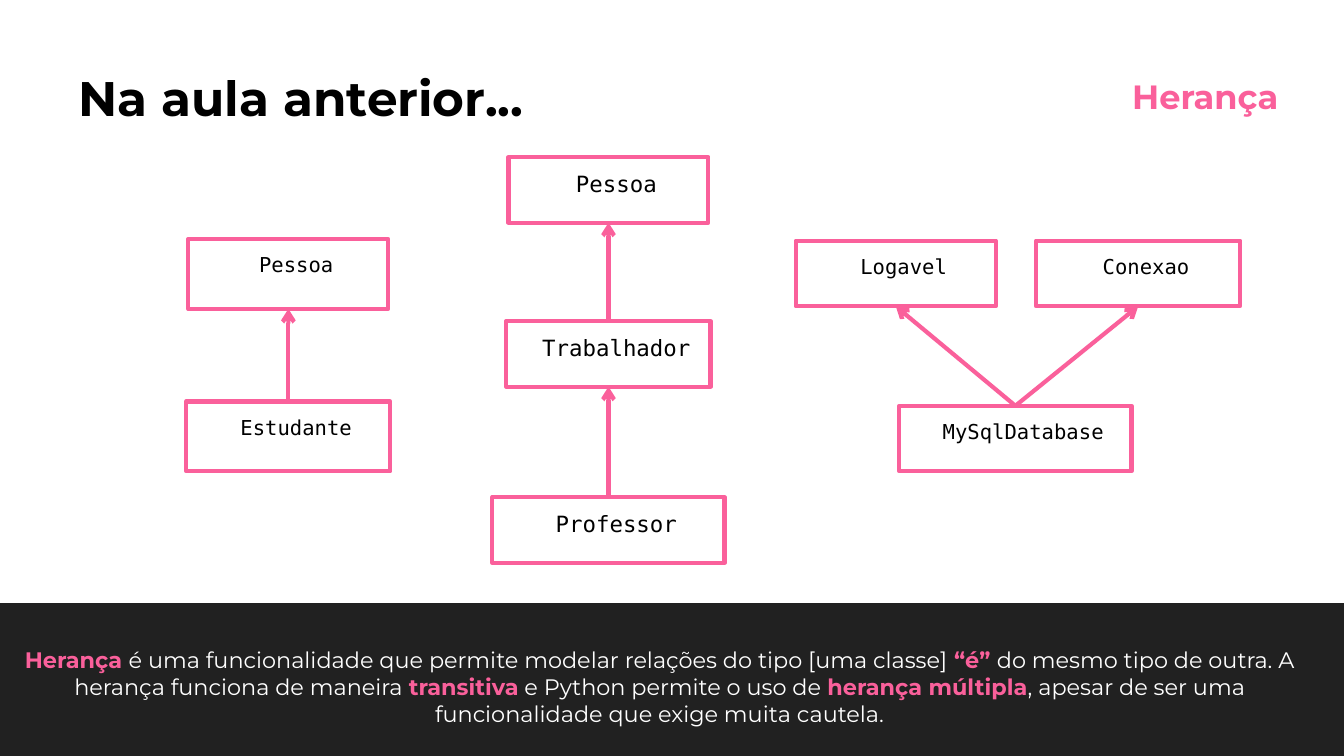
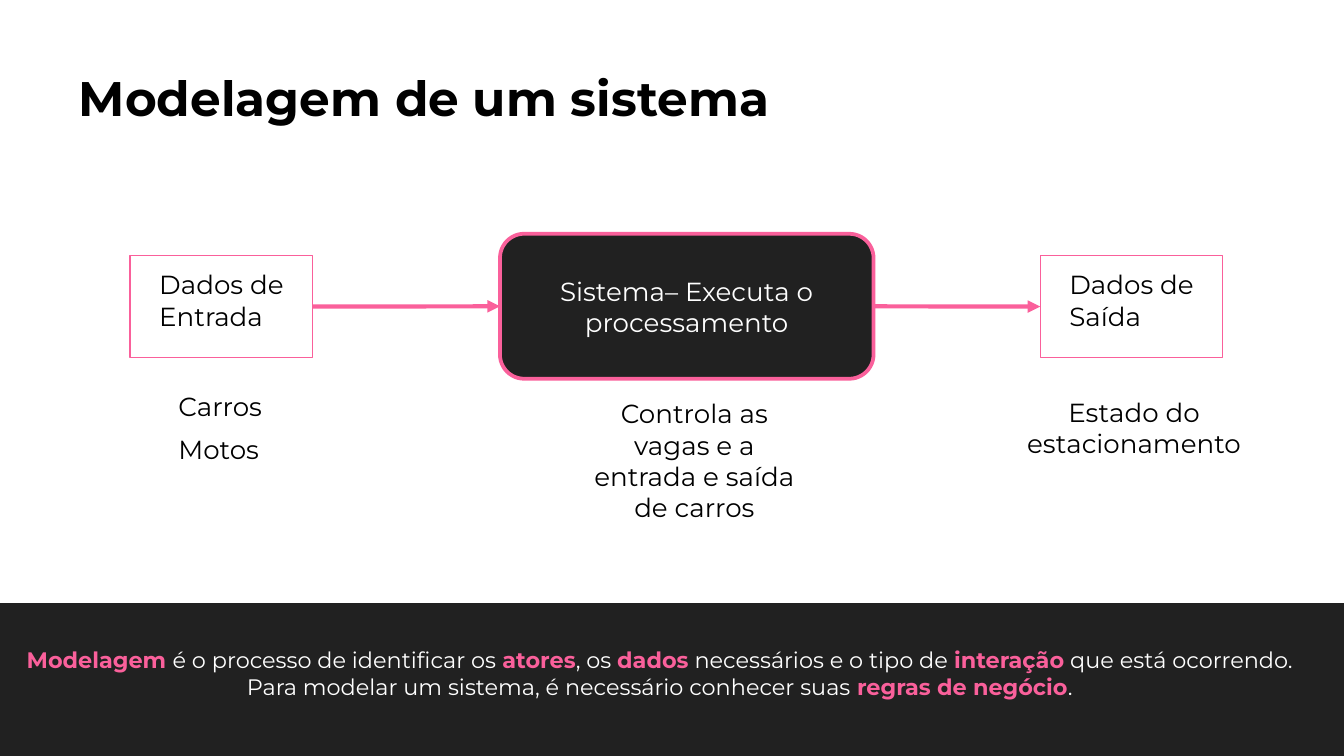
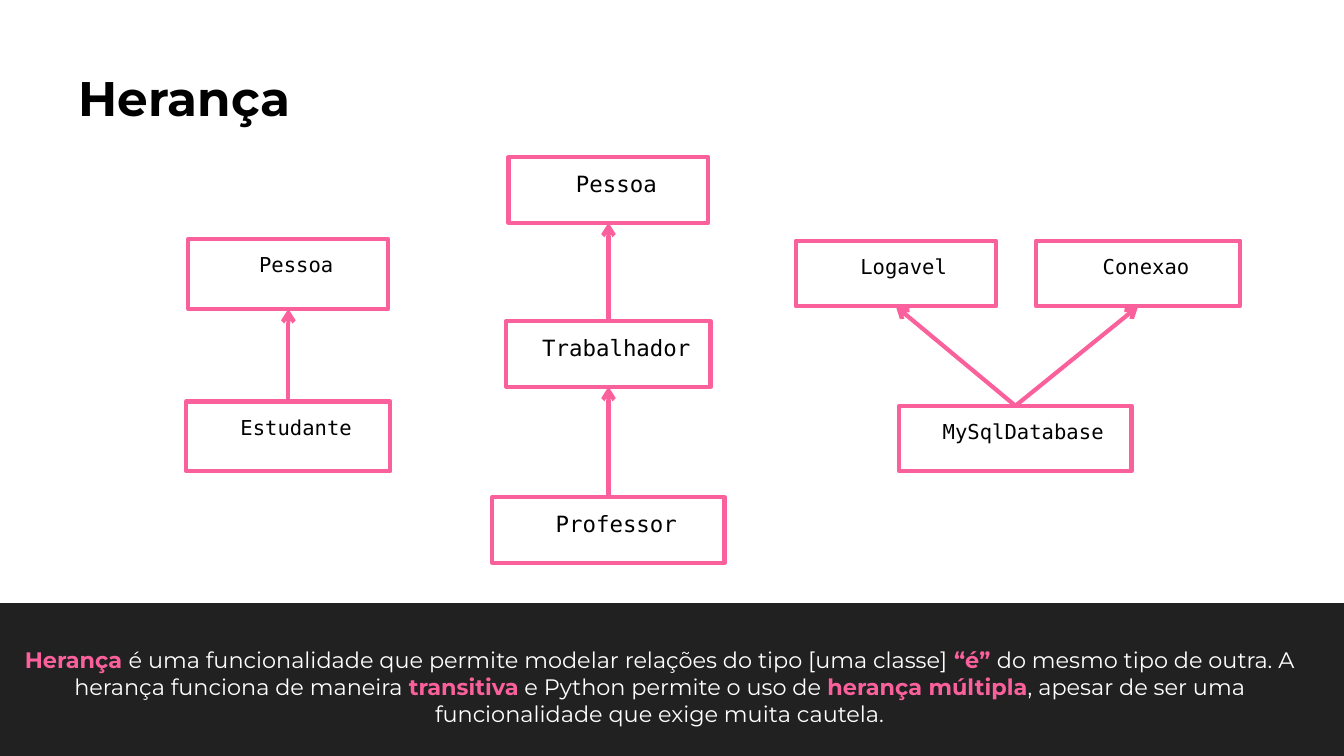
from pptx import Presentation
from pptx.dml.color import RGBColor
from pptx.enum.shapes import MSO_CONNECTOR, MSO_SHAPE
from pptx.enum.text import MSO_ANCHOR, PP_ALIGN
from pptx.oxml.ns import qn
from pptx.util import Cm, Pt
from lxml.etree import SubElement

PINK, DARK, WHITE, BLACK = "FA609B", "212121", "FFFFFF", "000000"
SANS, MONO = "Montserrat", "DejaVu Sans Mono"
LEFT, CENTER, RIGHT = PP_ALIGN.LEFT, PP_ALIGN.CENTER, PP_ALIGN.RIGHT
SLIDE_W, SLIDE_H = 25.4, 14.29
BAND_TOP = 11.4
INDENT = 0.3
TOP_SIDE, LEFT_SIDE, BOTTOM_SIDE, RIGHT_SIDE = range(4)

INHERITANCE_NOTE = (
    "*Herança *é uma funcionalidade que permite modelar relações do tipo "
    "[uma classe] *“é” *do mesmo tipo de outra. A herança funciona de maneira "
    "*transitiva* e Python permite o uso de *herança múltipla*, apesar de ser "
    "uma funcionalidade que exige muita cautela."
)
MODELLING_NOTE = (
    "*Modelagem *é o processo de identificar os *atores*, os *dados* necessários "
    "e o tipo de *interação* que está ocorrendo. Para modelar um sistema, é "
    "necessário conhecer suas *regras de negócio*."
)


def rgb(color):
    return RGBColor.from_string(color)


def write(shape, text, size=14, color=BLACK, font=SANS, bold=False, align=LEFT,
          indent=0, margin=None, anchor=MSO_ANCHOR.TOP):
    """Fill a shape with text; parts between asterisks are bold and pink."""
    tf = shape.text_frame
    tf.word_wrap = True
    tf.vertical_anchor = anchor
    if margin is not None:
        tf.margin_left = tf.margin_right = Cm(margin)
        tf.margin_top = tf.margin_bottom = Cm(margin)
    for i, line in enumerate(text.split("\n")):
        p = tf.add_paragraph() if i else tf.paragraphs[0]
        p.alignment = align
        if i:
            p.space_before = Pt(6)
        if indent:
            p._p.get_or_add_pPr().set("marL", str(Cm(indent)))
        for j, part in enumerate(line.split("*")):
            if not part:
                continue
            accent = j % 2 == 1
            r = p.add_run()
            r.text = part
            r.font.name = font
            r.font.size = Pt(size)
            r.font.bold = bold or accent
            r.font.color.rgb = rgb(PINK if accent else color)


def add_text(s, x, y, w, h, text, **fmt):
    write(s.shapes.add_textbox(Cm(x), Cm(y), Cm(w), Cm(h)), text, **fmt)


def add_box(s, x, y, w, h, kind=MSO_SHAPE.RECTANGLE, fill=None, line=None, weight=2.25):
    sp = s.shapes.add_shape(kind, Cm(x), Cm(y), Cm(w), Cm(h))
    sp.shadow.inherit = False
    if fill:
        sp.fill.solid()
        sp.fill.fore_color.rgb = rgb(fill)
    else:
        sp.fill.background()
    if line:
        sp.line.color.rgb = rgb(line)
        sp.line.width = Pt(weight)
    else:
        sp.line.fill.background()
    return sp


def add_arrow(s, start, start_side, end, end_side, end_tag, head):
    """Join two shapes; end_tag tells which end carries the arrowhead."""
    line = s.shapes.add_connector(MSO_CONNECTOR.STRAIGHT, 0, 0, 0, 0)
    line.begin_connect(start, start_side)
    line.end_connect(end, end_side)
    line.line.color.rgb = rgb(PINK)
    line.line.width = Pt(2.25)
    SubElement(line.line._get_or_add_ln(), qn(end_tag), type=head)
    SubElement(line._element.spPr, qn("a:effectLst"))


def add_class(s, name, center, top, w, h=1.24, size=11):
    sp = add_box(s, center - w / 2, top, w, h, line=PINK)
    write(sp, name, size=size, font=MONO, align=CENTER, indent=INDENT, margin=0.25)
    return sp


def inherit(s, parent, child):
    add_arrow(s, parent, BOTTOM_SIDE, child, TOP_SIDE, "a:headEnd", "arrow")


def add_class_diagrams(s):
    """Simple, transitive and multiple inheritance, from left to right."""
    person = add_class(s, "Pessoa", 5.45, 4.52, 3.78, h=1.32)
    student = add_class(s, "Estudante", 5.45, 7.59, 3.86, h=1.32)
    inherit(s, person, student)

    chain = [add_class(s, name, 11.5, top, w, size=12) for name, top, w in (
        ("Pessoa", 2.97, 3.78), ("Trabalhador", 6.07, 3.86), ("Professor", 9.4, 4.39))]
    for parent, child in zip(chain, chain[1:]):
        inherit(s, parent, child)

    parents = [add_class(s, "Logavel", 16.93, 4.55, 3.78),
               add_class(s, "Conexao", 21.51, 4.55, 3.86)]
    database = add_class(s, "MySqlDatabase", 19.19, 7.67, 4.39)
    for parent in parents:
        inherit(s, parent, database)


def add_data_box(s, x, text):
    sp = add_box(s, x, 4.83, 3.45, 1.93, line=PINK, weight=0.75)
    write(sp, text, indent=INDENT, margin=0.25)
    # The inner text area starts after the margin and the indent
    return sp


def add_system_flow(s):
    system = add_box(s, 9.45, 4.42, 7.06, 2.74, MSO_SHAPE.ROUNDED_RECTANGLE,
                     fill=DARK, line=PINK, weight=2)
    write(system, "Sistema– Executa o processamento", color=WHITE, align=CENTER,
          anchor=MSO_ANCHOR.MIDDLE)
    source = add_data_box(s, 2.46, "Dados de Entrada")
    result = add_data_box(s, 19.66, "Dados de Saída")
    for start, end in ((source, system), (system, result)):
        add_arrow(s, start, RIGHT_SIDE, end, LEFT_SIDE, "a:tailEnd", "triangle")

    add_text(s, 2.82, 7.26, 2.74, 1.68, "Carros\nMotos", indent=INDENT)
    add_text(s, 18.77, 7.37, 5.03, 1.45, "Estado do estacionamento",
             align=CENTER, indent=INDENT)
    add_text(s, 10.46, 7.39, 5.03, 2.64,
             "Controla as vagas e a entrada e saída de carros",
             align=CENTER, indent=INDENT)


def add_slide(prs, title, note, note_height):
    s = prs.slides.add_slide(prs.slide_layouts[6])
    add_text(s, 1.24, 1.04, 19.89, 1.63, title, size=26, bold=True, margin=0.25)
    add_box(s, 0, BAND_TOP, SLIDE_W, SLIDE_H - BAND_TOP, fill=DARK)
    add_text(s, -0.38, 11.96, SLIDE_W, note_height, note, size=12, color=WHITE,
             align=CENTER, indent=INDENT, margin=0.25)
    return s


def main():
    prs = Presentation()
    prs.slide_width, prs.slide_height = Cm(SLIDE_W), Cm(SLIDE_H)

    s = add_slide(prs, "Na aula anterior...", INHERITANCE_NOTE, 3)
    add_class_diagrams(s)
    add_text(s, 11.2, 1.19, 13.21, 1.27, "Herança", size=18, color=PINK, bold=True,
             align=RIGHT, margin=0.25)

    s = add_slide(prs, "Modelagem de um sistema", MODELLING_NOTE, 1.75)
    add_system_flow(s)

    s = add_slide(prs, "Herança", INHERITANCE_NOTE, 3)
    add_class_diagrams(s)

    prs.save("out.pptx")


if __name__ == "__main__":
    main()
